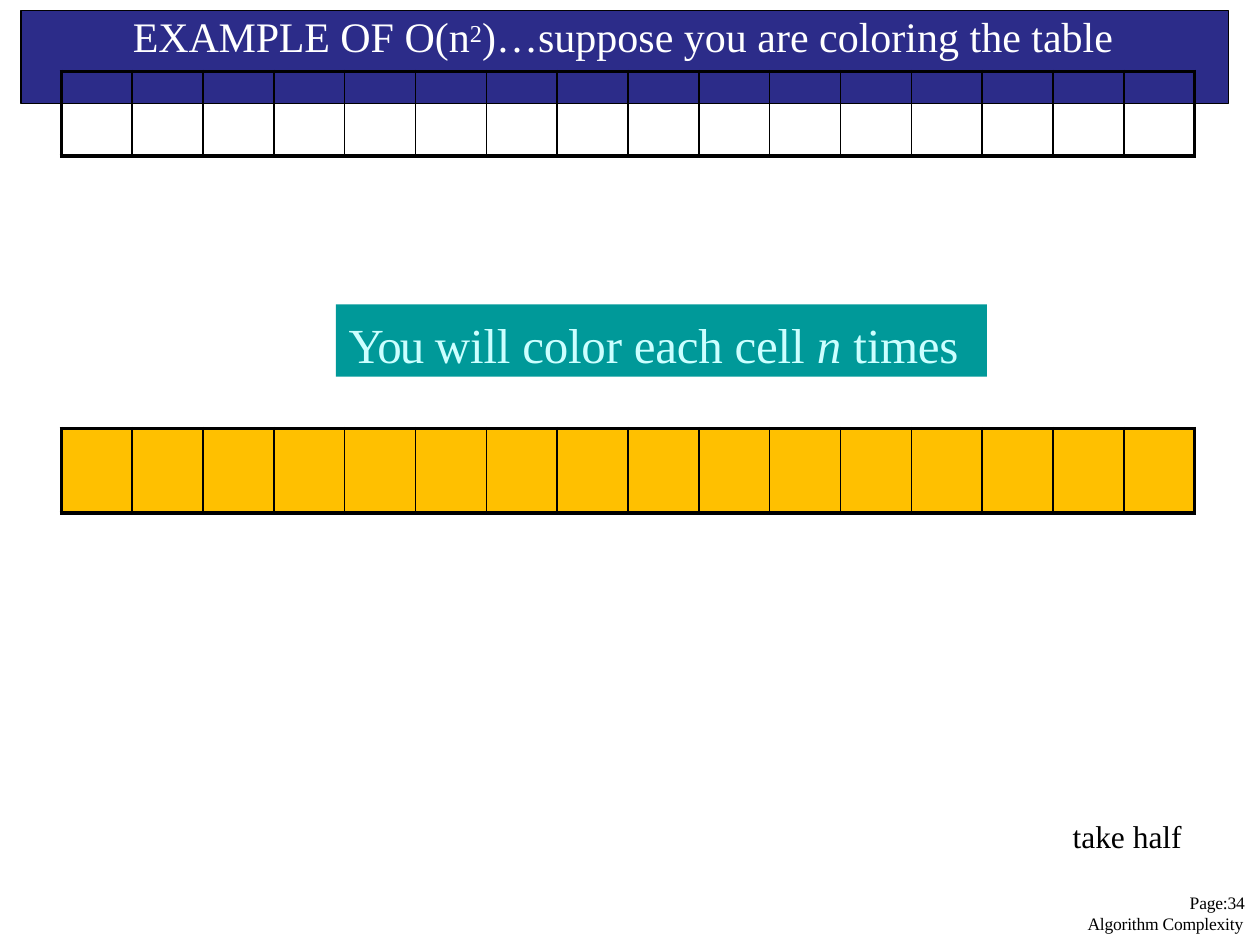
"""Build the slide on colouring a one-row table n times."""
from lxml.etree import SubElement
from pptx import Presentation
from pptx.dml.color import RGBColor
from pptx.enum.shapes import MSO_SHAPE
from pptx.enum.text import MSO_ANCHOR, PP_ALIGN
from pptx.oxml.ns import qn
from pptx.util import Pt

FONT = "Times New Roman"
BLACK = "000000"
COLUMNS = 16
COLUMN_WIDTH = 40.5
ROW_HEIGHT = 48.2
TABLE_LEFT = 35
TABLES = [(40.9, None), (244.9, "FFC000")]
PANELS = {
    "title": dict(
        box=(12, 6, 690, 53), fill="2C2C89", line=BLACK, size=24, color="FFFFFF",
        indent=(64, 0), spacing=28.6,
        runs=[("EXAMPLE ", {"spc": -10}), ("OF O(n", {}), ("2", {"baseline": 24000}),
              (")…suppose you are coloring the table", {})]),
    "callout": dict(
        box=(192, 174, 372, 41.3), fill="009999", size=28, color="CCFFFF",
        inset=5.5, indent=(7.2, 0),
        runs=[("You ", {"spc": -100}), ("will color each cell ", {"spc": -10}),
              ("n ", {"spc": -10, "i": 1}), ("times", {"spc": -10})]),
}
NOTES = {
    "half": dict(box=(612, 465, 65, 24), size=18, color=BLACK, inset=1.7,
                 indent=(0.9, 0), runs=[("take half", {})]),
    "footer": dict(box=(620.6, 510, 95, 25), size=10, color=BLACK,
                   indent=(0.9, 58.3), spacing=12,
                   runs=[("P", {}), ("age:34 Algorithm Complexity", {"spc": -10})]),
}


def rgb(value):
    return RGBColor.from_string(value)


def write(shape, runs, size, color, indent, inset=0, spacing=None):
    frame = shape.text_frame
    frame.word_wrap = True
    frame.vertical_anchor = MSO_ANCHOR.TOP
    frame.margin_left = frame.margin_right = frame.margin_bottom = 0
    frame.margin_top = Pt(inset)
    paragraph = frame.paragraphs[0]
    paragraph.alignment = PP_ALIGN.LEFT
    if spacing:
        paragraph.line_spacing = Pt(spacing)
    properties = paragraph._p.get_or_add_pPr()
    for name, length in zip(("marL", "indent"), indent):
        properties.set(name, str(int(Pt(length))))
    paragraph.font.name = FONT
    paragraph.font.size = Pt(size)
    paragraph.font.color.rgb = rgb(color)
    for text, attributes in runs:
        run = paragraph.add_run()
        run.text = text
        for name, value in attributes.items():
            run._r.get_or_add_rPr().set(name, str(value))


def add_panel(slide, box, fill, line=None, **text):
    shape = slide.shapes.add_shape(MSO_SHAPE.RECTANGLE, *map(Pt, box))
    shape.shadow.inherit = False
    shape.fill.solid()
    shape.fill.fore_color.rgb = rgb(fill)
    if line:
        shape.line.color.rgb = rgb(line)
        shape.line.width = Pt(0.75)
    else:
        shape.line.fill.background()
    write(shape, **text)


def add_note(slide, box, **text):
    write(slide.shapes.add_textbox(*map(Pt, box)), **text)


def add_border(cell, side, width):
    line = SubElement(cell._tc.get_or_add_tcPr(), qn(f"a:ln{side}"), w=str(int(Pt(width))))
    SubElement(SubElement(line, qn("a:solidFill")), qn("a:srgbClr"), val=BLACK)


def add_row(slide, top, fill):
    frame = slide.shapes.add_table(1, COLUMNS, Pt(TABLE_LEFT), Pt(top),
                                   Pt(COLUMNS * COLUMN_WIDTH), Pt(ROW_HEIGHT))
    table = frame.table
    table.first_row = table.horz_banding = False
    for index, column in enumerate(table.columns):
        column.width = Pt(COLUMN_WIDTH)
        cell = table.cell(0, index)
        add_border(cell, "L", 2.25 if index == 0 else 1)
        add_border(cell, "R", 2.25 if index == COLUMNS - 1 else 1)
        add_border(cell, "T", 2.25)
        add_border(cell, "B", 2.25)
        if fill:
            cell.fill.solid()
            cell.fill.fore_color.rgb = rgb(fill)
        else:
            cell.fill.background()


def main():
    presentation = Presentation()
    presentation.slide_width, presentation.slide_height = Pt(720), Pt(540)
    slide = presentation.slides.add_slide(presentation.slide_layouts[6])
    add_note(slide, **NOTES["footer"])
    add_panel(slide, **PANELS["title"])
    add_row(slide, *TABLES[0])
    add_note(slide, **NOTES["half"])
    add_panel(slide, **PANELS["callout"])
    add_row(slide, *TABLES[1])
    presentation.save("out.pptx")


if __name__ == "__main__":
    main()
